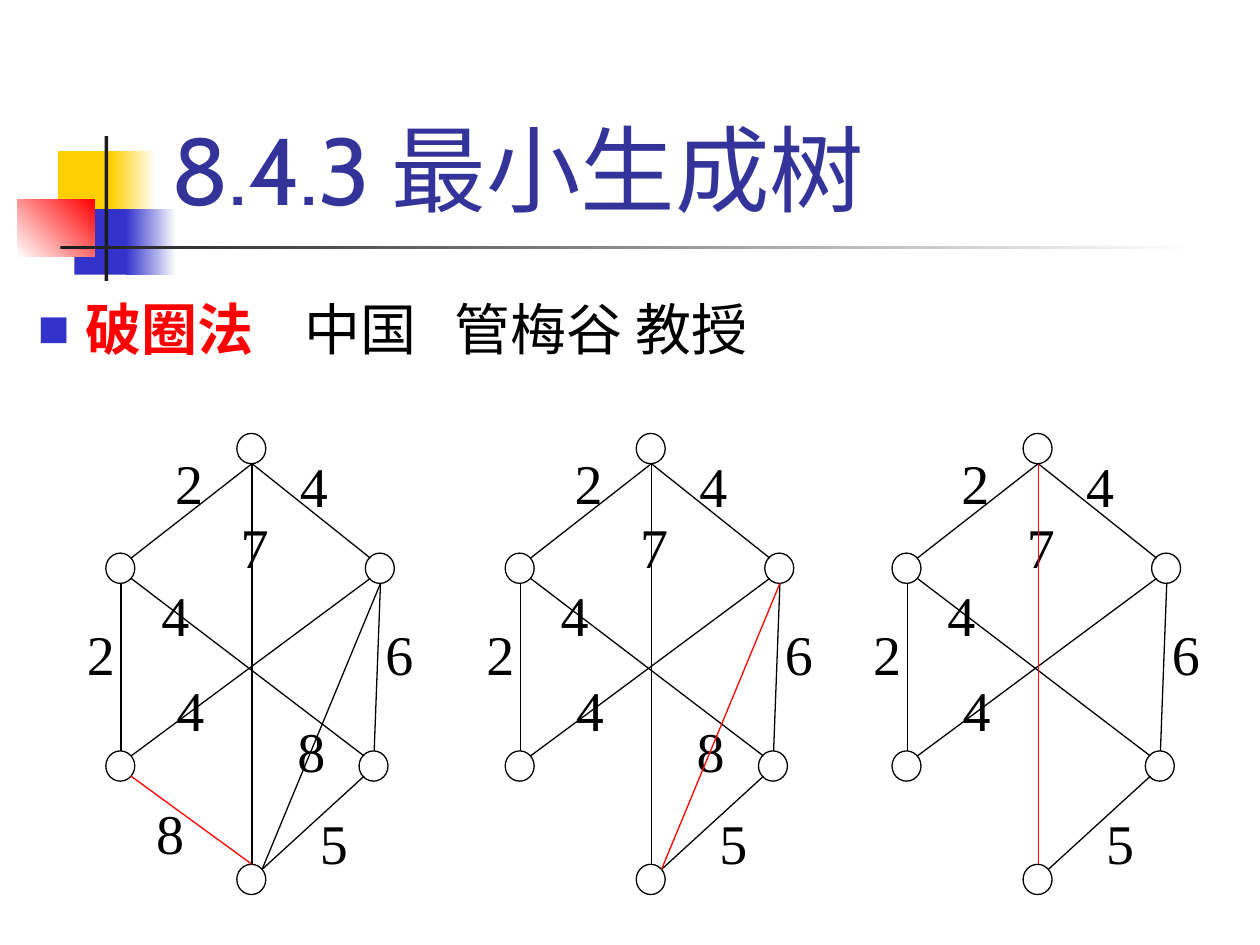
from dataclasses import dataclass
from lxml.etree import SubElement
from pptx import Presentation
from pptx.dml.color import RGBColor as RGB
from pptx.enum.shapes import MSO_CONNECTOR as Conn, MSO_SHAPE as Geo
from pptx.enum.text import MSO_ANCHOR as Anchor, MSO_AUTO_SIZE as Fit, PP_ALIGN as Align
from pptx.oxml.ns import qn
from pptx.util import Inches, Pt


@dataclass(frozen=True)
class Theme:
    black: str = "000000"
    white: str = "FFFFFF"
    red: str = "FF0000"
    gold: str = "FFCF01"
    blue: str = "3333CC"
    navy: str = "333399"
    dark: str = "1C1C1C"
    sans: str = "Cabin"
    serif: str = "Times New Roman"
    head: int = 54
    text: int = 32
    thin: float = 0.75


T = Theme()
SHIFTS = (0, 3.17, 6.24)
CUTS = ("df", "cf", "af")
NODES = {"b": (0.96, 4.51), "d": (0.96, 6.08), "c": (3.02, 4.51),
         "e": (2.97, 6.08), "f": (2, 6.98), "a": (2, 3.56)}
PORTS = {"n": (0, -0.12), "s": (0, 0.12), "ne": (0.08, -0.08),
         "nw": (-0.08, -0.08), "se": (0.08, 0.08), "sw": (-0.08, 0.08)}
EDGES = {"ab": ("s", "ne"), "ac": ("s", "nw"), "bd": ("s", "n"),
         "ce": ("s", "n"), "ef": ("sw", "ne"), "df": ("se", "n"),
         "cd": ("sw", "ne"), "be": ("se", "nw"), "af": ("s", "n"),
         "cf": ("s", "ne")}
COSTS = {"ce": ("6", 2.95, 4.86, 0.77), "ef": ("5", 2.43, 6.36, 0.73),
         "df": ("8", 1.13, 6.28, 0.66), "bd": ("2", 0.58, 4.86, 0.74),
         "ab": ("2", 1.28, 3.5, 0.75), "ac": ("4", 2.27, 3.52, 0.71),
         "cf": ("8", 2.25, 5.63, 0.73), "cd": ("4", 1.29, 5.3, 0.75),
         "be": ("4", 1.17, 4.55, 0.65), "af": ("7", 1.8, 4.01, 0.69)}
DECOR = (
    ((0.46, 1.2, 0.48, 0.52), (T.gold,), 0),
    ((0.88, 1.2, 0.36, 0.52), (T.gold, T.white), 0),
    ((0.59, 1.66, 0.46, 0.52), (T.blue,), 0),
    ((1, 1.66, 0.4, 0.52), (T.blue, T.white), 0),
    ((0.14, 1.58, 0.61, 0.46), (T.white, T.red), 45),
    ((0.83, 1.08, 0.03, 1.15), (T.dark,), 0),
    ((0.48, 1.95, 9, 0.03), (T.dark, T.white), 0),
)


def rgb(tint):
    return RGB.from_string(tint)


def add_run(para, text, font, size, tint, bold=False):
    run = para.add_run()
    run.text = text
    run.font.name = font
    run.font.size = Pt(size)
    run.font.bold = bold
    run.font.color.rgb = rgb(tint)


def add_box(shapes, geo, box, tints, line=None, angle=0):
    shape = shapes.add_shape(geo, *map(Inches, box))
    shape.shadow.inherit = False
    if len(tints) > 1:
        shape.fill.gradient()
        shape.fill.gradient_angle = angle
        for stop, tint in zip(shape.fill.gradient_stops, tints):
            stop.color.rgb = rgb(tint)
    else:
        shape.fill.solid()
        shape.fill.fore_color.rgb = rgb(tints[0])
    if line:
        shape.line.color.rgb = rgb(line)
        shape.line.width = Pt(T.thin)
    else:
        shape.line.fill.background()
    return shape


def add_cost(shapes, text, left, top, width):
    shape = add_box(shapes, Geo.RECTANGLE, (left, top, width, 0.85), (T.white,), T.white)
    frame = shape.text_frame
    frame.vertical_anchor = Anchor.TOP
    frame.margin_left = frame.margin_right = Inches(0.11)
    frame.margin_top = frame.margin_bottom = Inches(0.06)
    para = frame.paragraphs[0]
    para.alignment = Align.LEFT
    add_run(para, text, T.serif, T.text, T.black)


def add_edge(shapes, name, shift, tint):
    ends = []
    for node, port in zip(name, EDGES[name]):
        (x, y), (dx, dy) = NODES[node], PORTS[port]
        ends += [Inches(x + dx + shift), Inches(y + dy)]
    line = shapes.add_connector(Conn.STRAIGHT, *ends)
    line.line.color.rgb = rgb(tint)
    line.line.width = Pt(T.thin)
    SubElement(line._element.spPr, qn("a:effectLst"))


def add_graph(slide, shift, gone, cut):
    shapes = slide.shapes.add_group_shape().shapes
    for name, (text, left, top, width) in COSTS.items():
        if name not in gone:
            add_cost(shapes, text, left + shift, top, width)
    for x, y in NODES.values():
        box = (x - 0.12 + shift, y - 0.12, 0.23, 0.24)
        add_box(shapes, Geo.OVAL, box, (T.white,), T.black)
    for name in EDGES:
        if name not in gone:
            add_edge(shapes, name, shift, T.red if name == cut else T.black)


def place(slide, holder, box, anchor):
    holder.left, holder.top, holder.width, holder.height = map(Inches, box)
    slide.shapes._spTree.append(holder._element)
    frame = holder.text_frame
    frame.word_wrap = True
    frame.auto_size = Fit.NONE
    frame.vertical_anchor = anchor
    para = frame.paragraphs[0]
    para.alignment = Align.LEFT
    return para


def add_bullet(para):
    props = para._p.get_or_add_pPr()
    props.set("marL", str(Inches(0.38)))
    props.set("indent", str(Inches(-0.38)))
    tint = SubElement(props, qn("a:buClr"))
    SubElement(tint, qn("a:srgbClr"), val=T.blue)
    SubElement(props, qn("a:buSzPct"), val="60000")
    SubElement(props, qn("a:buFont"), typeface=T.sans)
    SubElement(props, qn("a:buChar"), char="■")


def main():
    deck = Presentation()
    deck.slide_width, deck.slide_height = Inches(10), Inches(7.5)
    slide = deck.slides.add_slide(deck.slide_layouts[1])
    for box, tints, angle in DECOR:
        add_box(slide.shapes, Geo.RECTANGLE, box, tints, angle=angle)

    title, body = slide.shapes.title, slide.placeholders[1]
    para = place(slide, title, (1.26, 0.23, 8.52, 1.6), Anchor.BOTTOM)
    add_run(para, "8.4.3 最小生成树", T.sans, T.head, T.navy)

    para = place(slide, body, (0.2, 2.02, 9.8, 5.48), Anchor.TOP)
    para.line_spacing = 1.5
    para.space_before = Pt(8)
    add_bullet(para)
    add_run(para, "破圈法    ", T.sans, T.text, T.red, True)
    add_run(para, "中国   管梅谷 教授", T.sans, T.text, T.black)

    for step, (shift, cut) in enumerate(zip(SHIFTS, CUTS)):
        add_graph(slide, shift, CUTS[:step], cut)
    deck.save("out.pptx")


if __name__ == "__main__":
    main()
